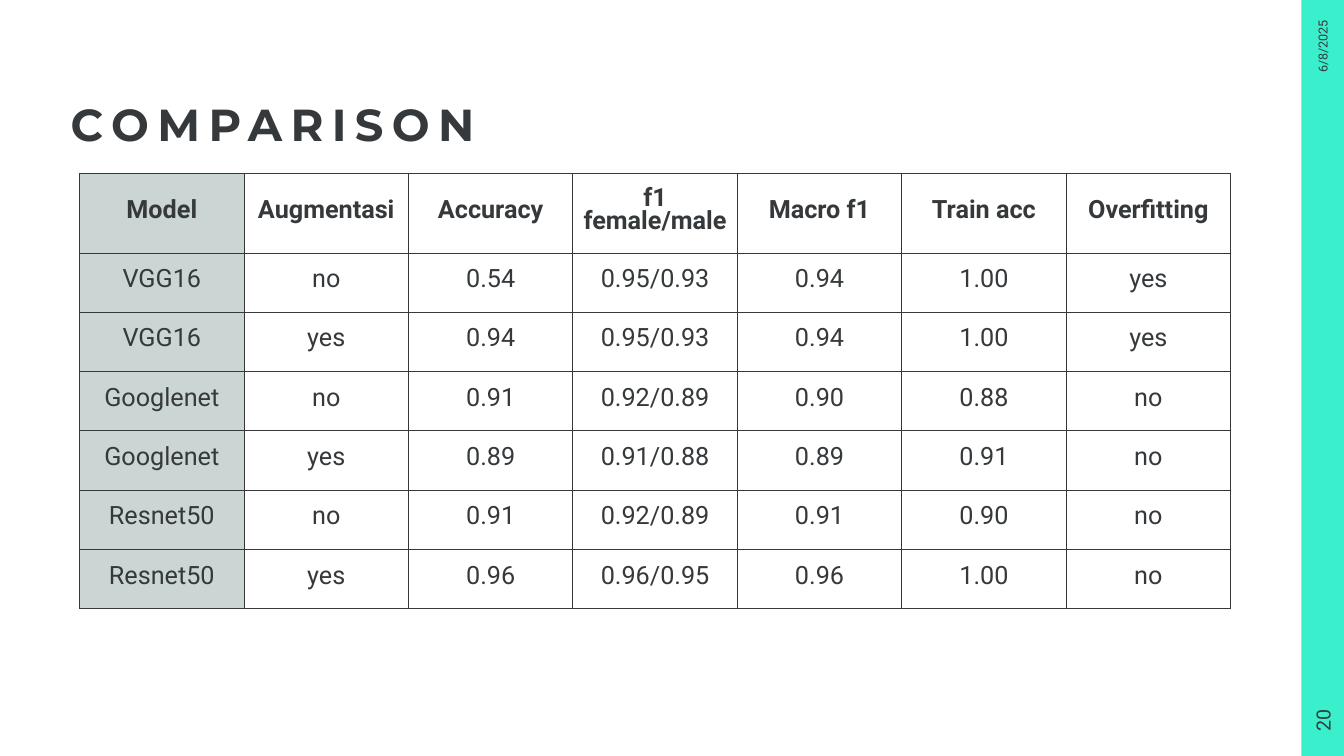
from dataclasses import dataclass

from lxml import etree
from pptx import Presentation
from pptx.dml.color import RGBColor
from pptx.enum import shapes, text
from pptx.oxml import ns
from pptx.util import Pt


@dataclass(frozen=True)
class Theme:
    ink: str = "36393B"
    accent: str = "3AEFCC"
    model_fill: str = "CBD6D4"
    heading_font: str = "Montserrat"
    body_font: str = "Roboto"
    title_size: float = 32
    table_size: float = 18
    number_size: float = 14
    date_size: float = 9


THEME = Theme()
SLIDE_WIDTH, SLIDE_HEIGHT = 960, 540
BAR_WIDTH = 30.4
HEADER_HEIGHT, ROW_HEIGHT = 57, 42.35
CELL_MARGINS = (5.4, 3.6, 5.4, 3.6)
ROWS = [
    ("Model", "Augmentasi", "Accuracy", "f1 female/male", "Macro f1", "Train acc", "Overfitting"),
    ("VGG16", "no", "0.54", "0.95/0.93", "0.94", "1.00", "yes"),
    ("VGG16", "yes", "0.94", "0.95/0.93", "0.94", "1.00", "yes"),
    ("Googlenet", "no", "0.91", "0.92/0.89", "0.90", "0.88", "no"),
    ("Googlenet", "yes", "0.89", "0.91/0.88", "0.89", "0.91", "no"),
    ("Resnet50", "no", "0.91", "0.92/0.89", "0.91", "0.90", "no"),
    ("Resnet50", "yes", "0.96", "0.96/0.95", "0.96", "1.00", "no"),
]


def write_text(frame, content, size, font=THEME.body_font, bold=False,
               align=text.PP_ALIGN.CENTER, line_spacing=1.0, tracking=None):
    paragraph = frame.paragraphs[0]
    paragraph.alignment = align
    paragraph.line_spacing = line_spacing
    run = paragraph.add_run()
    run.text = content
    run.font.name = font
    run.font.size = Pt(size)
    run.font.bold = bold
    run.font.color.rgb = RGBColor.from_string(THEME.ink)
    if tracking:
        run.font._element.set("spc", str(round(tracking * 100)))


def set_margins(target, left, top, right, bottom):
    target.margin_left, target.margin_top = Pt(left), Pt(top)
    target.margin_right, target.margin_bottom = Pt(right), Pt(bottom)


def place_title(slide, content):
    title = slide.shapes.title
    title.left, title.top = Pt(43.2), Pt(50.4)
    title.width, title.height = Pt(841.7), Pt(73.4)
    frame = title.text_frame
    frame.word_wrap = True
    frame.auto_size = text.MSO_AUTO_SIZE.NONE
    frame.vertical_anchor = text.MSO_ANCHOR.MIDDLE
    set_margins(frame, 7.2, 7.2, 0, 0)
    write_text(frame, content, THEME.title_size, font=THEME.heading_font, bold=True,
               align=text.PP_ALIGN.LEFT, line_spacing=0.9, tracking=6)


def add_side_bar(slide):
    bar = slide.shapes.add_shape(shapes.MSO_SHAPE.RECTANGLE, Pt(SLIDE_WIDTH - BAR_WIDTH), Pt(0),
                                 Pt(BAR_WIDTH), Pt(SLIDE_HEIGHT))
    bar.shadow.inherit = False
    bar.fill.solid()
    bar.fill.fore_color.rgb = RGBColor.from_string(THEME.accent)
    bar.line.fill.background()


def add_side_label(slide, content, top, width, size):
    left = SLIDE_WIDTH - BAR_WIDTH / 2 - width / 2
    label = slide.shapes.add_textbox(Pt(left), Pt(top), Pt(width), Pt(BAR_WIDTH))
    label.rotation = 270
    label.text_frame.word_wrap = True
    label.text_frame.vertical_anchor = text.MSO_ANCHOR.MIDDLE
    write_text(label.text_frame, content, size)


def add_borders(cell):
    properties = cell._tc.get_or_add_tcPr()
    for side in ("lnL", "lnR", "lnT", "lnB"):
        line = etree.SubElement(properties, ns.qn(f"a:{side}"), w=str(Pt(0.75)))
        fill = etree.SubElement(line, ns.qn("a:solidFill"))
        etree.SubElement(fill, ns.qn("a:srgbClr"), val=THEME.ink)


def format_cell(cell, content, is_header, is_model):
    cell.vertical_anchor = text.MSO_ANCHOR.MIDDLE
    set_margins(cell, *CELL_MARGINS)
    add_borders(cell)
    if is_model:
        cell.fill.solid()
        cell.fill.fore_color.rgb = RGBColor.from_string(THEME.model_fill)
    else:
        cell.fill.background()
    write_text(cell.text_frame, content, THEME.table_size, bold=is_header, line_spacing=Pt(15.8))


def add_comparison_table(slide):
    height = HEADER_HEIGHT + ROW_HEIGHT * (len(ROWS) - 1)
    table = slide.shapes.add_table(len(ROWS), len(ROWS[0]), Pt(56.9), Pt(123.8),
                                   Pt(822.2), Pt(height)).table
    table.first_row = table.horz_banding = False
    for row_index, values in enumerate(ROWS):
        is_header = row_index == 0
        table.rows[row_index].height = Pt(HEADER_HEIGHT if is_header else ROW_HEIGHT)
        for column_index, value in enumerate(values):
            format_cell(table.cell(row_index, column_index), value, is_header, column_index == 0)


def main():
    presentation = Presentation()
    presentation.slide_width, presentation.slide_height = Pt(SLIDE_WIDTH), Pt(SLIDE_HEIGHT)
    slide = presentation.slides.add_slide(presentation.slide_layouts.get_by_name("Title Only"))
    add_side_bar(slide)
    place_title(slide, "COMPARISON")
    add_side_label(slide, "6/8/2025", top=18, width=66.2, size=THEME.date_size)
    add_side_label(slide, "20", top=499.7, width=50.4, size=THEME.number_size)
    add_comparison_table(slide)
    presentation.save("out.pptx")


if __name__ == "__main__":
    main()
